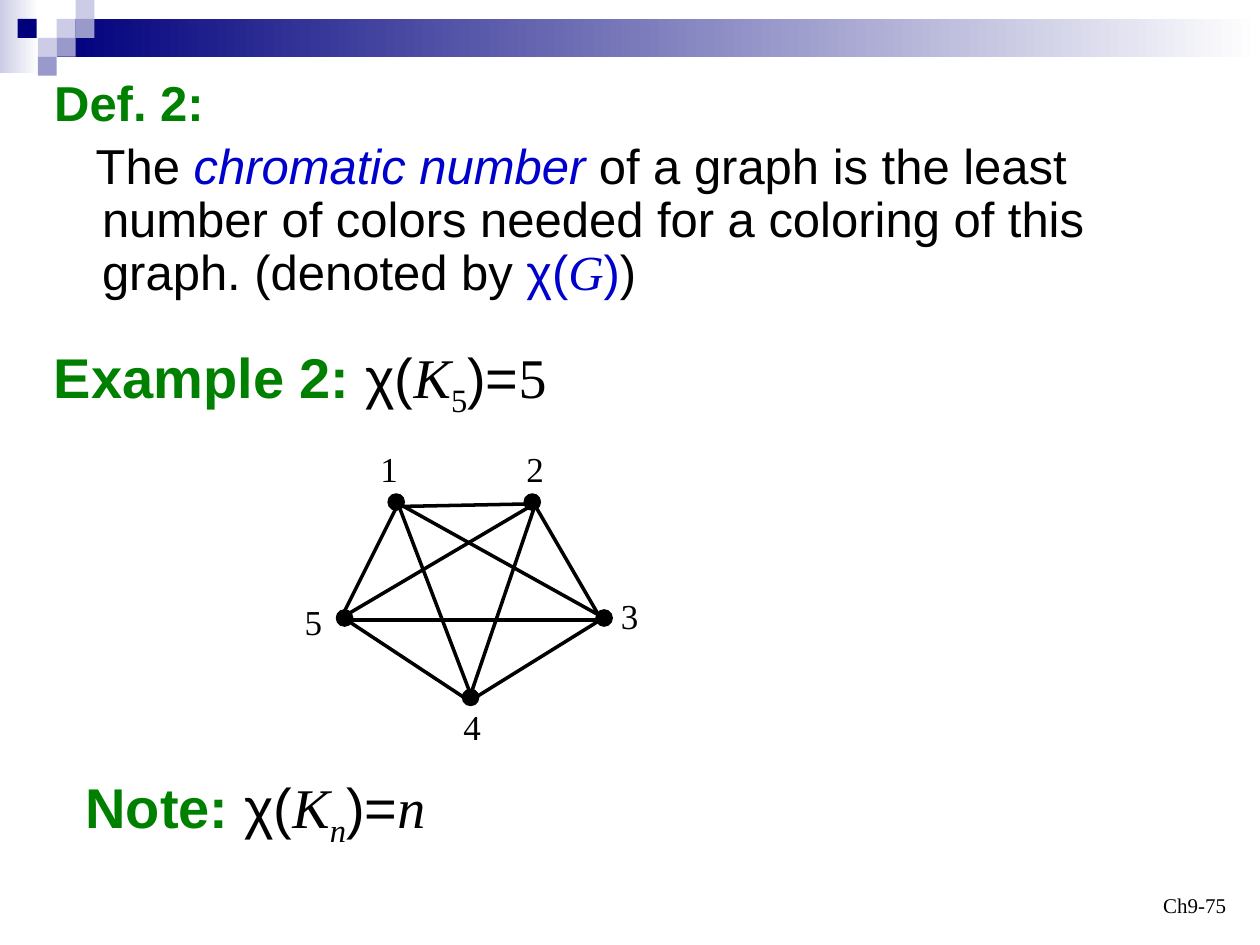
from lxml import etree
from pptx import Presentation
from pptx import util as u
from pptx.dml.color import RGBColor
from pptx.enum import shapes, text
from pptx.oxml import ns

BLACK = RGBColor(0x00, 0x00, 0x00)
WHITE = RGBColor(0xFF, 0xFF, 0xFF)
NAVY = RGBColor(0x00, 0x00, 0x7D)
LILAC = RGBColor(0xCC, 0xCC, 0xE6)
PERIWINKLE = RGBColor(0x99, 0x99, 0xCC)
GREEN = RGBColor(0x00, 0x80, 0x00)
BLUE = RGBColor(0x00, 0x00, 0xCC)
SANS, SERIF = "Arial", "Times New Roman"


class GraphSlide:
    """Holds the style and the current slide, and draws each kind of element."""

    def __init__(self, slide):
        self.slide = slide

    def shape(self, kind, left, top, width, height, colors, outline=False):
        shape = self.slide.shapes.add_shape(
            kind, u.Inches(left), u.Inches(top), u.Inches(width), u.Inches(height))
        shape.shadow.inherit = False
        if len(colors) == 1:
            shape.fill.solid()
            shape.fill.fore_color.rgb = colors[0]
        else:
            shape.fill.gradient()
            shape.fill.gradient_angle = 0
            for stop, color in zip(shape.fill.gradient_stops, colors):
                stop.color.rgb = color
        if outline:
            shape.line.color.rgb = BLACK
            shape.line.width = u.Pt(0.75)
        else:
            shape.line.fill.background()

    def block(self, *args):
        self.shape(shapes.MSO_SHAPE.RECTANGLE, *args)

    def vertex(self, left, top):
        self.shape(shapes.MSO_SHAPE.FLOWCHART_CONNECTOR, left, top, 0.13, 0.13,
                   [BLACK], outline=True)

    def edge(self, *ends):
        line = self.slide.shapes.add_connector(
            shapes.MSO_CONNECTOR.STRAIGHT, *map(u.Inches, ends))
        line.line.color.rgb = BLACK
        line.line.width = u.Pt(2)
        etree.SubElement(line._element.spPr, ns.qn("a:effectLst"))

    def add_runs(self, paragraph, size, runs):
        for words, font, color, *marks in runs:
            run = paragraph.add_run()
            run.text = words
            run.font.size = u.Pt(size)
            run.font.name = font
            run.font.color.rgb = color
            run.font.bold = "bold" in marks
            run.font.italic = "italic" in marks
            if "sub" in marks:
                run._r.get_or_add_rPr().set("baseline", "-25000")

    def text_box(self, left, top, width, height, size, runs, wrap=True,
                 align=text.PP_ALIGN.LEFT, anchor=text.MSO_ANCHOR.TOP):
        box = self.slide.shapes.add_textbox(
            u.Inches(left), u.Inches(top), u.Inches(width), u.Inches(height))
        frame = box.text_frame
        frame.word_wrap = wrap
        frame.vertical_anchor = anchor
        frame.paragraphs[0].alignment = align
        self.add_runs(frame.paragraphs[0], size, runs)

    def body(self, left, top, width, height, size, paragraphs):
        holder = self.slide.placeholders[1]
        holder.left, holder.top = u.Inches(left), u.Inches(top)
        holder.width, holder.height = u.Inches(width), u.Inches(height)
        frame = holder.text_frame
        frame.auto_size = text.MSO_AUTO_SIZE.NONE
        for index, (indent, runs) in enumerate(paragraphs):
            paragraph = frame.add_paragraph() if index else frame.paragraphs[0]
            properties = paragraph._p.get_or_add_pPr()
            properties.set("marL", str(u.Inches(0.38)))
            properties.set("indent", str(u.Inches(indent)))
            etree.SubElement(properties, ns.qn("a:buNone"))
            paragraph.line_spacing = 0.9
            paragraph.space_before = u.Pt(size * 0.2 if index else 0)
            self.add_runs(paragraph, size, runs)


def main():
    deck = Presentation()
    deck.slide_width, deck.slide_height = u.Inches(10), u.Inches(7.5)
    page = GraphSlide(deck.slides.add_slide(deck.slide_layouts[1]))
    title = page.slide.shapes.title._element
    title.getparent().remove(title)

    page.block(0, 0, 0.31, 0.58, [LILAC, WHITE])
    page.block(0.45, 0.15, 9.55, 0.3, [NAVY, WHITE])
    for left, top, color in [
            (0.45, 0.15, LILAC), (0.6, 0, LILAC), (0.6, 0.15, PERIWINKLE),
            (0.3, 0.3, LILAC), (0.14, 0.15, NAVY), (0.45, 0.3, PERIWINKLE),
            (0.3, 0.45, PERIWINKLE)]:
        page.block(left, top, 0.15, 0.15, [color])

    page.body(0.33, 0.58, 9.33, 1.92, 28, [
        (-0.38, [("Def. 2:", SANS, GREEN, "bold")]),
        (-0.05, [
            ("The ", SANS, BLACK),
            ("chromatic number", SANS, BLUE, "italic"),
            (" of a graph is the least number of colors needed for a coloring "
             "of this graph. (denoted by ", SANS, BLACK),
            ("χ(", SANS, BLUE),
            ("G", SERIF, BLUE, "italic"),
            (")", SANS, BLUE),
            (")", SANS, BLACK)])])
    page.text_box(7.5, 6.83, 2.33, 0.5, 12, [("Ch9-75", SERIF, BLACK)],
                  align=text.PP_ALIGN.RIGHT, anchor=text.MSO_ANCHOR.BOTTOM)

    for label, left, top in [("1", 2.92, 3.5), ("2", 4.08, 3.5), ("5", 2.32, 4.72),
                             ("4", 3.58, 5.55), ("3", 4.83, 4.67)]:
        page.text_box(left, top, 0.34, 0.43, 20, [(label, SERIF, BLACK)])

    for heading, order, result, style, left, top, width, wrap in [
            ("Example 2:", "5", "5", [], 0.33, 2.67, 9.08, True),
            ("Note:", "n", "n", ["italic"], 0.58, 6.08, 3.05, False)]:
        page.text_box(left, top, width, 0.64, 32, [
            (heading, SANS, GREEN, "bold"),
            (" χ(", SANS, BLACK),
            ("K", SERIF, BLACK, "italic"),
            (order, SERIF, BLACK, "sub", *style),
            (")=", SANS, BLACK),
            (result, SERIF, BLACK, *style)], wrap=wrap)

    for ends in [
            (4.25, 4, 3.75, 5.47), (3.16, 4, 2.73, 4.86), (3.16, 4, 3.75, 5.55),
            (4.75, 4.88, 4.24, 4), (2.75, 4.88, 4.24, 4), (3.17, 4, 4.75, 4.88),
            (3.75, 5.55, 4.83, 4.88), (3.17, 4.02, 4.17, 4),
            (2.75, 4.92, 3.75, 5.58), (2.75, 4.92, 4.83, 4.92)]:
        page.edge(*ends)
    for left, top in [(3.08, 3.92), (4.16, 3.92), (4.73, 4.84), (3.67, 5.47),
                      (2.67, 4.84)]:
        page.vertex(left, top)

    deck.save("out.pptx")


if __name__ == "__main__":
    main()
